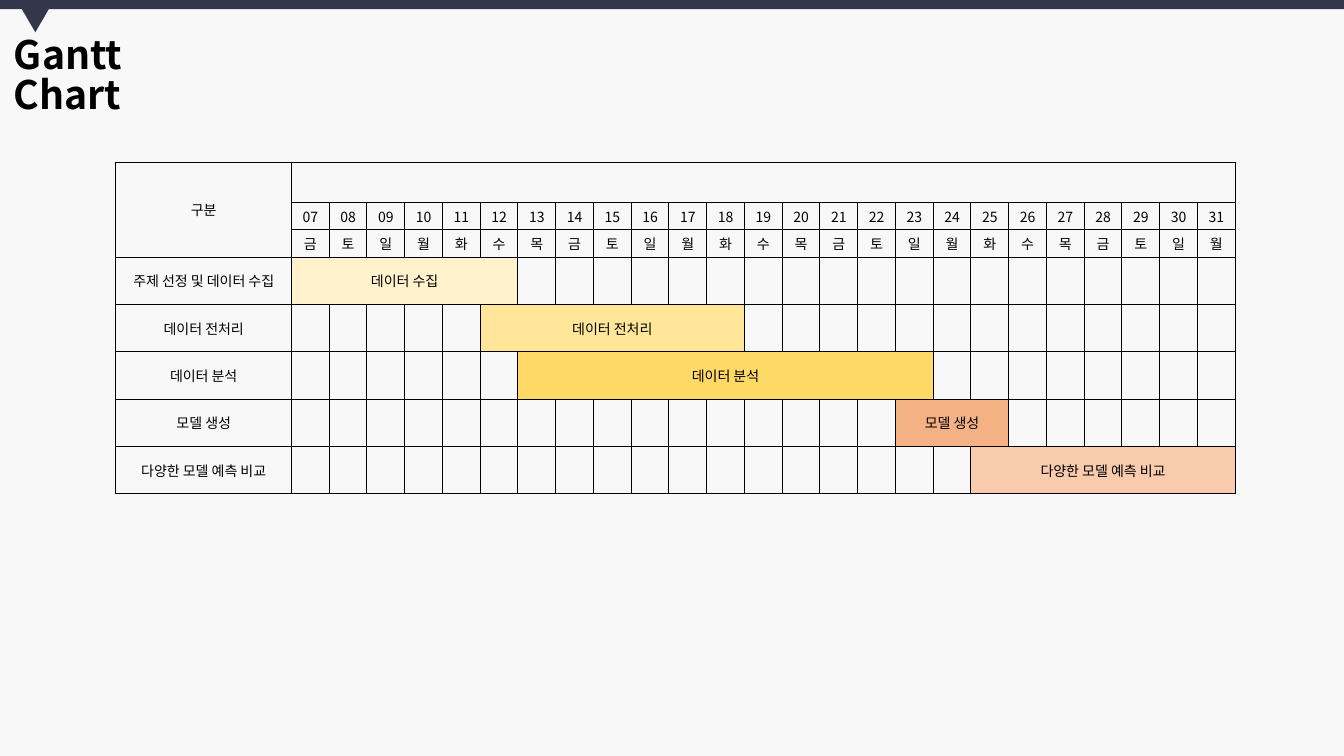
from lxml import etree
from pptx import Presentation
from pptx.dml.color import RGBColor
from pptx.enum import shapes, text
from pptx.oxml import ns
from pptx.util import Inches, Pt

FONT = "Noto Sans CJK KR"
COLORS = {
    "background": "F8F8F8",
    "navy": "34364B",
    "black": "000000",
    "collect": "FFF2CC",
    "prepare": "FFE699",
    "analyse": "FFD966",
    "model": "F4B183",
    "compare": "F8CBAD",
}
FIRST_DAY, LAST_DAY = 7, 31
DAY_COUNT = LAST_DAY - FIRST_DAY + 1
WEEKDAYS = "금토일월화수목"
HEADER_HEIGHTS = [0.4, 0.27, 0.27]
TASK_HEIGHT = 0.47
TABLE_WIDTH, LABEL_WIDTH = 11.11, 1.74
# Row label, bar label, first day, last day, colour
TASKS = [
    ("주제 선정 및 데이터 수집", "데이터 수집", 7, 12, "collect"),
    ("데이터 전처리", "데이터 전처리", 12, 18, "prepare"),
    ("데이터 분석", "데이터 분석", 13, 23, "analyse"),
    ("모델 생성", "모델 생성", 23, 25, "model"),
    ("다양한 모델 예측 비교", "다양한 모델 예측 비교", 25, 31, "compare"),
]


def rgb(name):
    return RGBColor.from_string(COLORS[name])


def style_run(run, size, bold=False):
    run.font.size = Pt(size)
    run.font.bold = bold
    run.font.name = FONT
    run.font.color.rgb = rgb("black")
    east_asian = etree.SubElement(run.font._element, ns.qn("a:ea"))
    east_asian.set("typeface", FONT)


def add_ornament(slide, preset, left, top, width, height, rotation=0):
    ornament = slide.shapes.add_shape(
        preset, Inches(left), Inches(top), Inches(width), Inches(height))
    ornament.rotation = rotation
    ornament.shadow.inherit = False
    ornament.fill.solid()
    ornament.fill.fore_color.rgb = rgb("navy")
    ornament.line.fill.background()


def add_title(slide, wording):
    title = slide.shapes.add_textbox(
        Inches(0.04), Inches(0.32), Inches(2.28), Inches(0.57))
    title.text_frame.word_wrap = True
    title.text_frame.text = wording
    paragraph = title.text_frame.paragraphs[0]
    paragraph.line_spacing = 0.85
    style_run(paragraph.runs[0], 28, bold=True)


def format_cell(cell):
    """Give the cell thin black borders, narrow margins and no fill."""
    cell.margin_left = cell.margin_right = Inches(0.03)
    cell.margin_top = cell.margin_bottom = Inches(0.02)
    cell.vertical_anchor = text.MSO_ANCHOR.MIDDLE
    properties = cell._tc.get_or_add_tcPr()
    for side in ("lnL", "lnR", "lnT", "lnB"):
        border = etree.SubElement(properties, ns.qn(f"a:{side}"), w=str(Pt(0.75)))
        fill = etree.SubElement(border, ns.qn("a:solidFill"))
        etree.SubElement(fill, ns.qn("a:srgbClr"), val=COLORS["black"])
    cell.fill.background()


def write_cell(cell, wording):
    cell.text_frame.text = wording
    paragraph = cell.text_frame.paragraphs[0]
    paragraph.alignment = text.PP_ALIGN.CENTER
    style_run(paragraph.runs[0], 10)


def day_column(day):
    return day - FIRST_DAY + 1


def add_schedule_grid(slide):
    heights = HEADER_HEIGHTS + [TASK_HEIGHT] * len(TASKS)
    table = slide.shapes.add_table(
        len(heights), DAY_COUNT + 1, Inches(1.15), Inches(1.61),
        Inches(TABLE_WIDTH), Inches(sum(heights))).table
    table.first_row = table.horz_banding = False
    for row, height in zip(table.rows, heights):
        row.height = Inches(height)
    for column in table.columns:
        column.width = Inches((TABLE_WIDTH - LABEL_WIDTH) / DAY_COUNT)
    table.columns[0].width = Inches(LABEL_WIDTH)
    for cell in table.iter_cells():
        format_cell(cell)
    return table


def fill_header(table):
    table.cell(0, 0).merge(table.cell(2, 0))
    write_cell(table.cell(0, 0), "구분")
    table.cell(0, 1).merge(table.cell(0, DAY_COUNT))
    for day in range(FIRST_DAY, LAST_DAY + 1):
        column = day_column(day)
        write_cell(table.cell(1, column), f"{day:02d}")
        write_cell(table.cell(2, column), WEEKDAYS[(day - FIRST_DAY) % 7])


def fill_task(table, row, label, bar_label, start, end, color):
    write_cell(table.cell(row, 0), label)
    bar = table.cell(row, day_column(start))
    bar.merge(table.cell(row, day_column(end)))
    write_cell(bar, bar_label)
    bar.fill.solid()
    bar.fill.fore_color.rgb = rgb(color)


def main():
    deck = Presentation()
    deck.slide_width, deck.slide_height = Inches(13.33), Inches(7.5)
    slide = deck.slides.add_slide(deck.slide_layouts[6])
    slide.background.fill.solid()
    slide.background.fill.fore_color.rgb = rgb("background")

    preset = shapes.MSO_SHAPE
    add_ornament(slide, preset.RECTANGLE, 0, 0, 13.33, 0.09)
    add_ornament(slide, preset.ISOSCELES_TRIANGLE, 0.21, 0.08, 0.28, 0.24, 180)
    add_title(slide, "Gantt Chart")

    schedule = add_schedule_grid(slide)
    fill_header(schedule)
    for row, task in enumerate(TASKS, start=len(HEADER_HEIGHTS)):
        fill_task(schedule, row, *task)
    deck.save("out.pptx")


if __name__ == "__main__":
    main()
